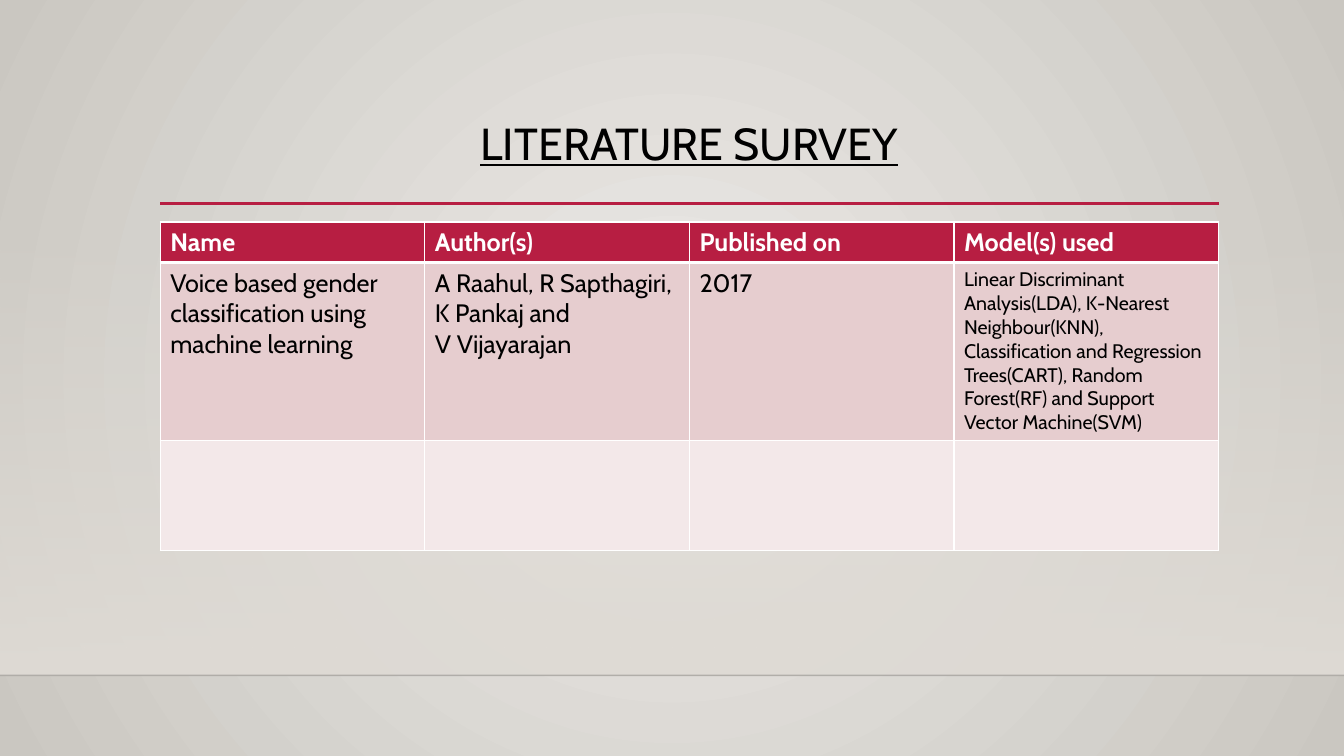
from lxml.etree import SubElement
from pptx import Presentation
from pptx.dml.color import RGBColor
from pptx.enum.shapes import MSO_CONNECTOR as CONNECTOR, MSO_SHAPE as SHAPE
from pptx.enum.text import MSO_ANCHOR as ANCHOR, PP_ALIGN as ALIGN
from pptx.oxml.ns import qn
from pptx.util import Pt

BLACK = RGBColor(0x00, 0x00, 0x00)
WHITE = RGBColor(0xFF, 0xFF, 0xFF)
CRIMSON = RGBColor(0xB7, 0x1E, 0x42)
ROSE = RGBColor(0xE6, 0xCD, 0xCF)
PALE_ROSE = RGBColor(0xF3, 0xE8, 0xE9)
WALL_LIGHT = RGBColor(0xEC, 0xEA, 0xE7)
WALL_DARK = RGBColor(0xCA, 0xC7, 0xC1)
SAND = RGBColor(0xDF, 0xDB, 0xD5)

FONT = "Cabin"
WIDTH, HEIGHT = 960, 540
LEFT, CONTENT_WIDTH = 114.5, 756
FLOOR_TOP = 482.4
ROW_HEIGHTS = (29, 127, 78.5)
ROW_FILLS = (CRIMSON, ROSE, PALE_ROSE)
SURVEY = (
    ("Name", "Author(s)", "Published on", "Model(s) used"),
    (
        "Voice based gender classification using machine learning",
        "A Raahul, R Sapthagiri,\nK Pankaj and\nV Vijayarajan",
        "2017",
        "Linear Discriminant Analysis(LDA), K-Nearest Neighbour(KNN), "
        "Classification and Regression Trees(CART), Random Forest(RF) "
        "and Support Vector Machine(SVM)",
    ),
    ("", "", "", ""),
)


def write(frame, text, size=18, color=BLACK, bold=False, underline=False,
          align=ALIGN.LEFT, spacing=1.0):
    """Fill a text frame, one paragraph per line of text."""
    frame.word_wrap = True
    frame.text = text
    for paragraph in frame.paragraphs:
        paragraph.alignment = align
        paragraph.line_spacing = spacing
        font = paragraph.font
        for run in paragraph.runs:
            font = run.font
            font.underline = underline
            font.color.rgb = color
        font.name, font.size, font.bold = FONT, Pt(size), bold


def set_gradient(fill, start, end):
    """Give a fill a gradient of two colours."""
    fill.gradient()
    for stop, color, position in zip(fill.gradient_stops, (start, end), (0, 1)):
        stop.color.rgb = color
        stop.position = position


def set_alpha(color_element, percent):
    """Set the opacity of a colour element."""
    SubElement(color_element, qn("a:alpha"), val=str(percent * 1000))


def paint_wall(slide):
    """Paint the background with a gradient from the centre outwards."""
    set_gradient(slide.background.fill, WALL_LIGHT, WALL_DARK)
    gradient = slide.element.find(".//" + qn("a:gradFill"))
    gradient.remove(gradient.find(qn("a:lin")))
    glow = SubElement(gradient, qn("a:path"), path="circle")
    SubElement(glow, qn("a:fillToRect"), l="50000", t="50000", r="50000", b="50000")


def add_haze(slide):
    """Add the band that fades in down to the floor line."""
    top = 159.1
    haze = slide.shapes.add_shape(
        SHAPE.RECTANGLE, 0, Pt(top), Pt(WIDTH), Pt(FLOOR_TOP - top))
    haze.shadow.inherit = False
    haze.line.fill.background()
    set_gradient(haze.fill, SAND, SAND)
    haze.fill.gradient_angle = 270
    set_alpha(haze.element.find(".//" + qn("a:srgbClr")), 0)


def add_rule(slide, left, right, y, color, weight, opacity=100):
    """Add a horizontal line."""
    rule = slide.shapes.add_connector(
        CONNECTOR.STRAIGHT, Pt(left), Pt(y), Pt(right), Pt(y))
    rule.line.color.rgb = color
    rule.line.width = Pt(weight)
    set_alpha(rule.element.find(".//" + qn("a:srgbClr")), opacity)
    SubElement(rule.element.spPr, qn("a:effectLst"))


def add_title(slide, text):
    """Add the centred, underlined slide title."""
    title = slide.shapes.add_textbox(Pt(LEFT), Pt(63.2), Pt(CONTENT_WIDTH), Pt(82.5))
    title.text_frame.vertical_anchor = ANCHOR.MIDDLE
    write(title.text_frame, text, size=32, underline=True,
          align=ALIGN.CENTER, spacing=0.9)


def style_cell(cell, fill, bottom, top):
    """Fill a cell and draw its white borders."""
    properties = cell._tc.get_or_add_tcPr()
    for side, weight in (("L", 1), ("R", 1), ("T", top), ("B", bottom)):
        border = SubElement(properties, qn(f"a:ln{side}"), w=str(Pt(weight)))
        paint = SubElement(border, qn("a:solidFill"))
        SubElement(paint, qn("a:srgbClr"), val=str(WHITE))
    cell.fill.solid()
    cell.fill.fore_color.rgb = fill


def add_survey(slide):
    """Add the table of surveyed papers."""
    columns = len(SURVEY[0])
    table = slide.shapes.add_table(
        len(SURVEY), columns, Pt(LEFT), Pt(158.6),
        Pt(CONTENT_WIDTH), Pt(sum(ROW_HEIGHTS))).table
    for r, (texts, height, fill) in enumerate(zip(SURVEY, ROW_HEIGHTS, ROW_FILLS)):
        table.rows[r].height = Pt(height)
        header = r == 0
        for c, text in enumerate(texts):
            cell = table.cell(r, c)
            style_cell(cell, fill, bottom=3 if header else 1, top=3 if r == 1 else 1)
            small = r == 1 and c == columns - 1
            write(cell.text_frame, text, size=14 if small else 18,
                  color=WHITE if header else BLACK, bold=header)


def main():
    """Build the literature survey slide."""
    deck = Presentation()
    deck.slide_width, deck.slide_height = Pt(WIDTH), Pt(HEIGHT)
    slide = deck.slides.add_slide(deck.slide_layouts[6])
    paint_wall(slide)
    add_haze(slide)
    add_rule(slide, 0, WIDTH, FLOOR_TOP, BLACK, 1, opacity=20)
    add_rule(slide, LEFT, LEFT + CONTENT_WIDTH, 145.4, CRIMSON, 2.5)
    add_title(slide, "LITERATURE SURVEY")
    add_survey(slide)
    deck.save("out.pptx")


if __name__ == "__main__":
    main()
